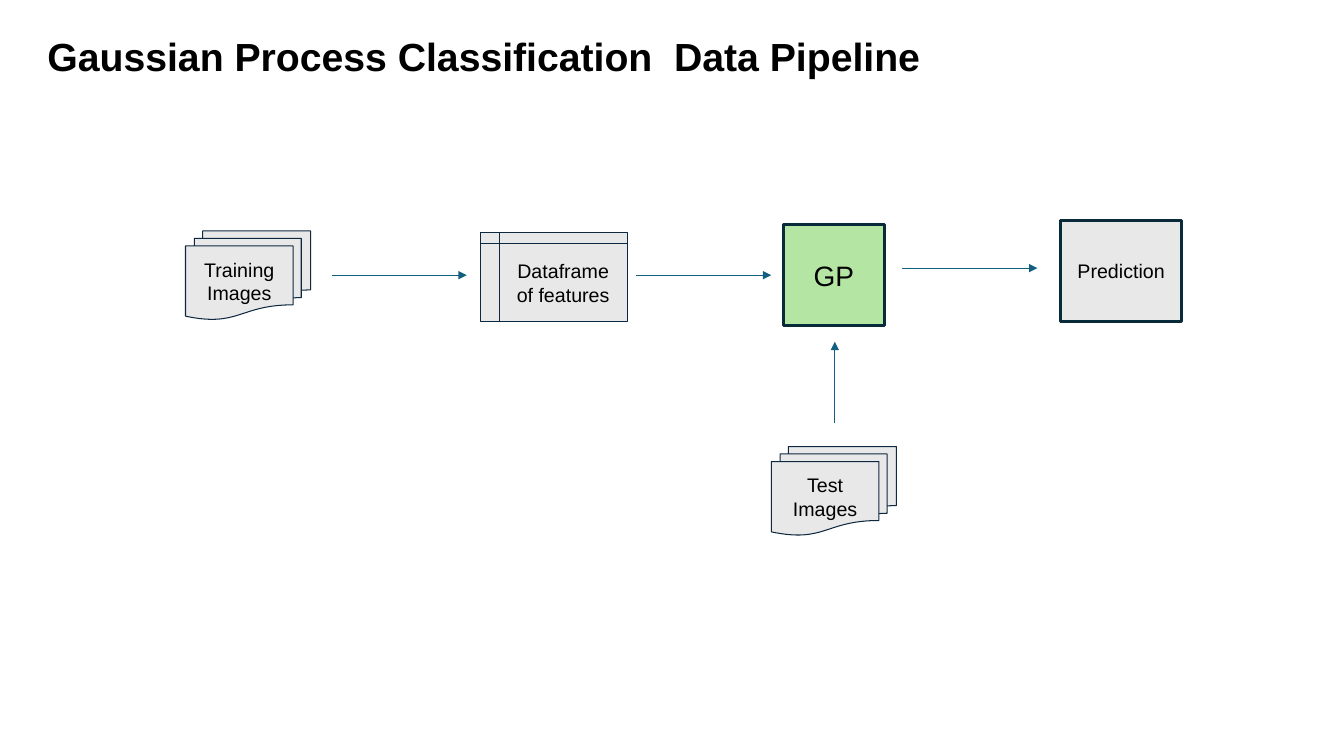
from dataclasses import dataclass

from lxml import etree
from pptx import Presentation
from pptx.dml.color import RGBColor
from pptx.enum import shapes, text
from pptx.oxml import ns
from pptx.util import Inches, Pt


@dataclass(frozen=True)
class Theme:
    font: str = "Arial"
    ink: str = "000000"
    gray: str = "E8E8E8"
    green: str = "B4E5A2"
    navy: str = "0E2841"
    dark: str = "092A39"
    arrow: str = "125F82"
    title: int = 28
    model: int = 20
    label: int = 14
    thin: float = 0.75
    thick: float = 2


THEME = Theme()
KIND = shapes.MSO_SHAPE
STACK_SIZE = (1.24, 0.88)


def color(value):
    return RGBColor.from_string(value)


def write(frame, words, size=THEME.label, bold=False,
          align=text.PP_ALIGN.CENTER, anchor=text.MSO_ANCHOR.MIDDLE,
          inset_x=0.1, inset_y=0.05):
    frame.word_wrap = True
    frame.vertical_anchor = anchor
    frame.margin_left = frame.margin_right = Inches(inset_x)
    frame.margin_top = frame.margin_bottom = Inches(inset_y)
    para = frame.paragraphs[0]
    para.alignment = align
    span = para.add_run()
    span.text = words
    span.font.name = THEME.font
    span.font.size = Pt(size)
    span.font.bold = bold
    span.font.color.rgb = color(THEME.ink)


def add_title(page, box, words):
    title = page.shapes.title
    title.left, title.top, title.width, title.height = map(Inches, box)
    write(title.text_frame, words, size=THEME.title, bold=True,
          align=text.PP_ALIGN.LEFT, anchor=text.MSO_ANCHOR.TOP)
    title.text_frame.auto_size = text.MSO_AUTO_SIZE.SHAPE_TO_FIT_TEXT


def add_stage(page, kind, box, words, fill=THEME.gray, line=THEME.navy,
              weight=THEME.thin, **format):
    stage = page.shapes.add_shape(kind, *map(Inches, box))
    stage.shadow.inherit = False
    stage.fill.solid()
    stage.fill.fore_color.rgb = color(fill)
    stage.line.color.rgb = color(line)
    stage.line.width = Pt(weight)
    write(stage.text_frame, words, **format)


def add_arrow(page, x, y, dx=0, dy=0):
    """Draw an arrow that starts at (x, y) and runs by (dx, dy)."""
    arrow = page.shapes.add_connector(
        shapes.MSO_CONNECTOR.STRAIGHT,
        *map(Inches, (x, y, x + dx, y + dy)))
    arrow.line.color.rgb = color(THEME.arrow)
    arrow.line.width = Pt(THEME.thin)
    outline = arrow.line._get_or_add_ln()
    etree.SubElement(outline, ns.qn("a:tailEnd"), type="triangle")
    etree.SubElement(arrow._element.spPr, ns.qn("a:effectLst"))


def add_pipeline(page, left, top):
    """Place the stages and arrows relative to the top left corner."""
    stages = [
        (KIND.FLOWCHART_MULTIDOCUMENT, (0, 0.1, *STACK_SIZE),
         "Training Images", dict(inset_y=0.1)),
        (KIND.FLOWCHART_INTERNAL_STORAGE, (2.93, 0.12, 1.45, 0.88),
         "Dataframe of features", dict(inset_y=0.1)),
        (KIND.RECTANGLE, (5.93, 0.04, 1, 1), "GP",
         dict(fill=THEME.green, line=THEME.dark, weight=THEME.thick,
              size=THEME.model)),
        (KIND.RECTANGLE, (8.68, 0, 1.2, 1), "Prediction",
         dict(line=THEME.dark, weight=THEME.thick)),
        (KIND.FLOWCHART_MULTIDOCUMENT, (5.81, 2.24, *STACK_SIZE),
         "Test Images", dict(inset_y=0.1)),
    ]
    for kind, (x, y, width, height), words, format in stages:
        add_stage(page, kind, (left + x, top + y, width, height), words,
                  **format)

    for x, y in [(1.45, 0.54), (4.47, 0.54), (7.11, 0.47)]:
        add_arrow(page, left + x, top + y, dx=1.34)
    add_arrow(page, left + 6.44, top + 2.01, dy=-0.81)


def main():
    deck = Presentation()
    deck.slide_width, deck.slide_height = Inches(13.33), Inches(7.5)
    page = deck.slides.add_slide(deck.slide_layouts.get_by_name("Title Only"))
    add_title(page, (0.37, 0.27, 9.41, 0.57),
              "Gaussian Process Classification  Data Pipeline")
    add_pipeline(page, left=1.84, top=2.19)
    deck.save("out.pptx")


if __name__ == "__main__":
    main()
